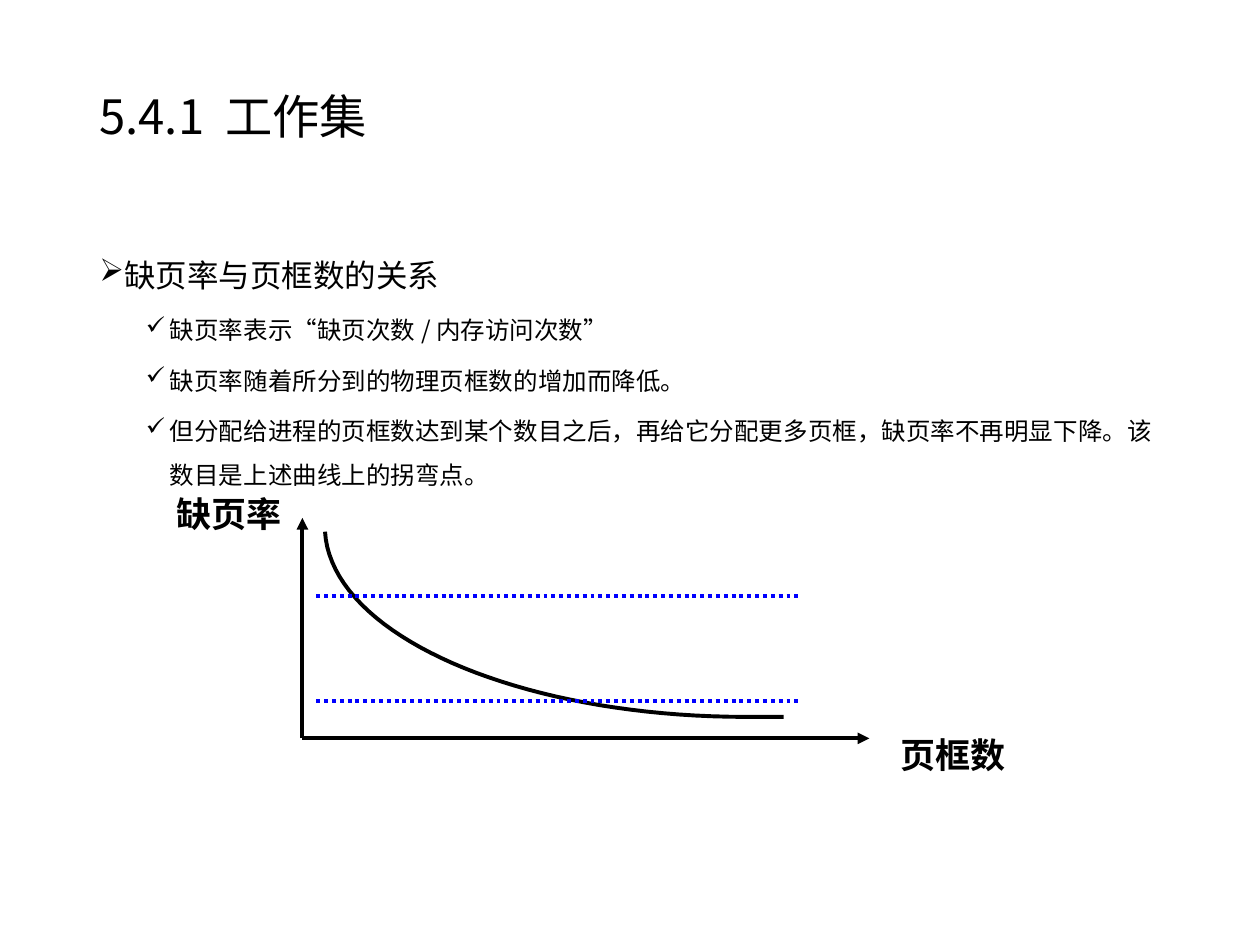
"""Build the working-set slide with its page-fault curve."""
from lxml.etree import SubElement
from pptx import Presentation
from pptx.dml.color import RGBColor
from pptx.enum.dml import MSO_LINE
from pptx.enum.shapes import MSO_CONNECTOR
from pptx.enum.text import MSO_ANCHOR, PP_ALIGN
from pptx.oxml.ns import qn
from pptx.util import Inches, Pt

BLACK = RGBColor(0x00, 0x00, 0x00)
BLUE = RGBColor(0x00, 0x00, 0xFF)
STRAIGHT = MSO_CONNECTOR.STRAIGHT
DOTTED = MSO_LINE.ROUND_DOT
LEFT = PP_ALIGN.LEFT
TOP, MIDDLE = MSO_ANCHOR.TOP, MSO_ANCHOR.MIDDLE
FONT = "Noto Sans CJK SC"

ORIGIN = (2.4, 5.86)
AXES = [(2.4, 4.11), (6.9, 5.86)]
LIMITS = [4.73, 5.56]
LABELS = [("页框数", 7.15, 5.82), ("缺页率", 1.4, 3.91)]
CURVE_START = (6.22, 5.69)
CURVE = [
    ((6.12, 5.69), (6.02, 5.69), (5.92, 5.69)),
    ((4.11, 5.69), (2.63, 5.04), (2.58, 4.22)),
]
POINTS = [
    "缺页率表示“缺页次数 / 内存访问次数”",
    "缺页率随着所分到的物理页框数的增加而降低。",
    "但分配给进程的页框数达到某个数目之后，再给它分配更多页框，"
    "缺页率不再明显下降。该数目是上述曲线上的拐弯点。",
]


def write(paragraph, text, size, bold=False, spacing=1.0, before=0, bullet=None, indent=0):
    paragraph.alignment = LEFT
    paragraph.line_spacing = spacing
    paragraph.space_before = Pt(before)
    run = paragraph.add_run()
    run.text = text
    font = run.font
    font.size, font.bold, font.name = Pt(size), bold, FONT
    font.color.rgb = BLACK
    SubElement(run._r.get_or_add_rPr(), qn("a:ea"), typeface=FONT)
    if bullet:
        properties = paragraph._p.get_or_add_pPr()
        properties.set("marL", str(Inches(indent)))
        properties.set("indent", str(Inches(-0.19)))
        SubElement(properties, qn("a:buChar"), char=bullet)


def bezier(start, first, second, end, steps=40):
    for step in range(1, steps + 1):
        t = step / steps
        weights = ((1 - t) ** 3, 3 * t * (1 - t) ** 2, 3 * t * t * (1 - t), t ** 3)
        yield tuple(
            Inches(sum(weight * value for weight, value in zip(weights, values)))
            for values in zip(start, first, second, end)
        )


class SlideBuilder:
    def __init__(self, slide, line_width=2.25):
        self.slide = slide
        self.line_width = Pt(line_width)

    def text_box(self, left, top, width, height, anchor=TOP, wrap=True, inset=True):
        box = self.slide.shapes.add_textbox(
            Inches(left), Inches(top), Inches(width), Inches(height))
        frame = box.text_frame
        frame.word_wrap = wrap
        frame.vertical_anchor = anchor
        if not inset:
            frame.margin_left = frame.margin_right = 0
            frame.margin_top = frame.margin_bottom = 0
        return frame

    def line(self, start, end, color=BLACK, dash=None, arrow=False):
        connector = self.slide.shapes.add_connector(
            STRAIGHT, *(Inches(value) for value in (*start, *end)))
        connector.line.color.rgb = color
        connector.line.width = self.line_width
        if dash:
            connector.line.dash_style = dash
        properties = connector._element.spPr
        if arrow:
            SubElement(properties.find(qn("a:ln")), qn("a:tailEnd"), type="triangle")
        SubElement(properties, qn("a:effectLst"))

    def curve(self, start, segments):
        builder = self.slide.shapes.build_freeform(*(Inches(value) for value in start))
        for segment in segments:
            builder.add_line_segments(list(bezier(start, *segment)), close=False)
            start = segment[-1]
        shape = builder.convert_to_shape()
        shape.shadow.inherit = False
        shape.fill.background()
        shape.line.color.rgb = BLACK
        shape.line.width = self.line_width


def main():
    presentation = Presentation()
    presentation.slide_width, presentation.slide_height = Inches(10), Inches(7.5)
    builder = SlideBuilder(presentation.slides.add_slide(presentation.slide_layouts[6]))

    title = builder.text_box(0.69, 0.4, 8.62, 1.09, anchor=MIDDLE)
    write(title.paragraphs[0], "5.4.1  工作集", 27, spacing=0.9)

    body = builder.text_box(0.69, 1.83, 8.62, 4.93)
    write(body.paragraphs[0], "缺页率与页框数的关系", 18,
          spacing=1.5, before=7.5, bullet="➢", indent=0.19)
    for point in POINTS:
        write(body.add_paragraph(), point, 14,
              spacing=1.5, before=3.8, bullet="✓", indent=0.56)

    for end in AXES:
        builder.line(ORIGIN, end, arrow=True)
    builder.curve(CURVE_START, CURVE)
    for text, left, top in LABELS:
        label = builder.text_box(left, top, 0.84, 0.33, wrap=False, inset=False)
        write(label.paragraphs[0], text, 20, bold=True)
    for height in LIMITS:
        builder.line((2.51, height), (6.34, height), color=BLUE, dash=DOTTED)

    presentation.save("out.pptx")


if __name__ == "__main__":
    main()
